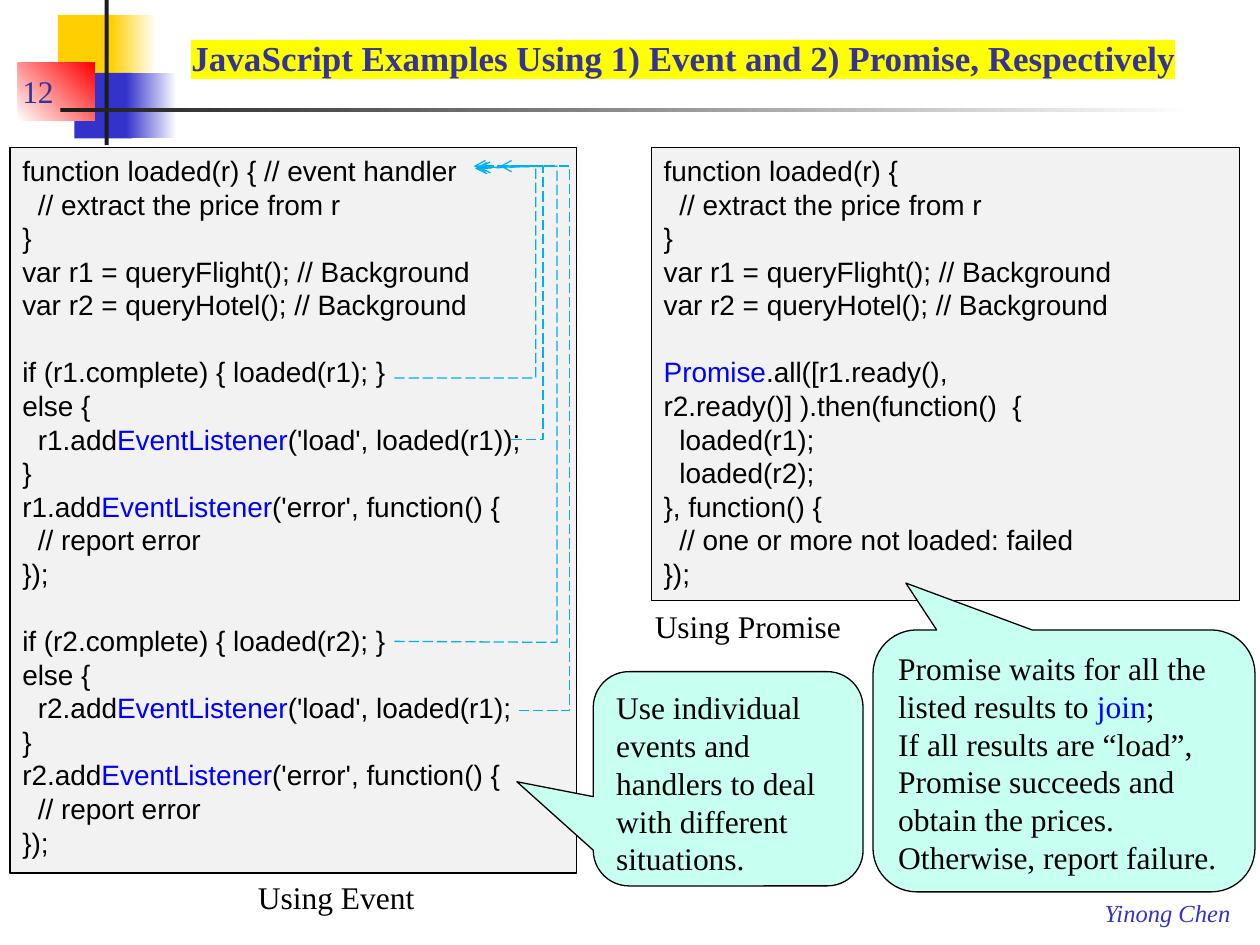
import pptx
import pptx.util
import pptx.dml.color
import pptx.enum.dml
import pptx.enum.shapes
import pptx.enum.text
import pptx.oxml
import pptx.oxml.ns
from lxml import etree

Cm = pptx.util.Cm
Pt = pptx.util.Pt
RGB = pptx.dml.color.RGBColor
KIND = pptx.enum.shapes.MSO_SHAPE
ANCHOR = pptx.enum.text.MSO_ANCHOR

BLACK = RGB(0x00, 0x00, 0x00)
WHITE = RGB(0xFF, 0xFF, 0xFF)
GOLD = RGB(0xFF, 0xCF, 0x01)
INDIGO = RGB(0x33, 0x33, 0xCC)
NAVY = RGB(0x33, 0x33, 0x99)
RED = RGB(0xFF, 0x00, 0x00)
DARK = RGB(0x1C, 0x1C, 0x1C)
GREY = RGB(0xF2, 0xF2, 0xF2)
MINT = RGB(0xC7, 0xFF, 0xF0)
BLUE = RGB(0x00, 0x00, 0xFF)
SKY = RGB(0x00, 0xB0, 0xF0)

# Code: "|" marks blue words, two leading blanks an indent, "" a gap
START = ["  // extract the price from r", "}",
         "var r1 = queryFlight(); // Background",
         "var r2 = queryHotel(); // Background"]


def listen(name, load):
    """Code lines that hook up the events of one request."""
    return ["", f"if ({name}.complete) {{ loaded({name}); }}", "else {",
            f"  {name}.add|EventListener|('load', {load}", "}",
            f"{name}.add|EventListener|('error', function() {{",
            "  // report error", "});"]


EVENT = (["function loaded(r) { // event handler"] + START
         + listen("r1", "loaded(r1));") + listen("r2", "loaded(r1);"))
PROMISE = ["function loaded(r) {"] + START + [
    "", "|Promise|.all([r1.ready(), r2.ready()] ).then(function()  {",
    "  loaded(r1);", "  loaded(r2);", "}, function() {",
    "  // one or more not loaded: failed", "});"]


class Deck:
    serif, sans = "Times New Roman", "Arial"
    body, code = 18, 16
    thin = Pt(0.75)

    def __init__(self):
        self.prs = pptx.Presentation()
        self.prs.slide_width, self.prs.slide_height = Cm(25.4), Cm(19.05)
        self.slide = self.prs.slides.add_slide(self.prs.slide_layouts[6])

    def shape(self, box, fill, kind=KIND.RECTANGLE, line=None):
        item = self.slide.shapes.add_shape(kind, *map(Cm, box))
        item.shadow.inherit = False
        item.fill.solid()
        item.fill.fore_color.rgb = fill
        if line is None:
            item.line.fill.background()
        else:
            item.line.color.rgb = line
            item.line.width = self.thin
        return item

    def fade(self, box, first, last, angle=0):
        item = self.shape(box, first)
        item.fill.gradient()
        item.fill.gradient_angle = angle
        for stop, color in zip(item.fill.gradient_stops, (first, last)):
            stop.color.rgb = color

    def set_text(self, item, lines, font, size, color=BLACK):
        frame = item.text_frame
        frame.word_wrap = True
        frame.vertical_anchor = ANCHOR.TOP
        pitch = Pt(1.2 * size)
        para, gap = None, False
        for line in lines:
            if not line:
                gap = True
                continue
            para = frame.add_paragraph() if para else frame.paragraphs[0]
            para.alignment = pptx.enum.text.PP_ALIGN.LEFT
            if len(lines) > 1 or item.height > Cm(2):
                para.line_spacing = pitch
            if gap:
                para.space_before = pitch
                gap = False
            if line.startswith("  "):
                # Two blanks are 0.56 em wide
                para._p.get_or_add_pPr().set("marL", str(Pt(0.56 * size)))
            for i, part in enumerate(line.strip().split("|")):
                if part:
                    run = para.add_run()
                    run.text = part
                    run.font.name, run.font.size = font, Pt(size)
                    run.font.color.rgb = BLUE if i % 2 else color

    def label(self, box, text, size=body, color=BLACK, anchor=ANCHOR.TOP):
        item = self.slide.shapes.add_textbox(*map(Cm, box))
        self.set_text(item, [text], self.serif, size, color)
        item.text_frame.vertical_anchor = anchor
        return item

    def panel(self, box, lines):
        self.set_text(self.shape(box, GREY, line=BLACK), lines,
                      self.sans, self.code)

    def callout(self, box, tip, lines):
        item = self.shape(box, MINT, KIND.ROUNDED_RECTANGULAR_CALLOUT, BLACK)
        for i, value in enumerate((*tip, 0.167)):
            item.adjustments[i] = value
        self.set_text(item, lines, self.serif, self.body)

    def trace(self, *points):
        spots = [(Cm(x), Cm(y)) for x, y in points]
        pen = self.slide.shapes.build_freeform(*spots[0])
        pen.add_line_segments(spots[1:], close=False)
        item = pen.convert_to_shape()
        item.shadow.inherit = False
        item.fill.background()
        item.line.color.rgb = SKY
        item.line.width = self.thin
        item.line.dash_style = pptx.enum.dml.MSO_LINE.LONG_DASH
        etree.SubElement(item.line._get_or_add_ln(),
                         pptx.oxml.ns.qn("a:tailEnd"), type="arrow")

    def mark(self, run, color):
        tag = pptx.oxml.parse_xml(
            f'<a:highlight {pptx.oxml.ns.nsdecls("a")}>'
            f'<a:srgbClr val="{color}"/></a:highlight>')
        run._r.rPr.find(pptx.oxml.ns.qn("a:solidFill")).addnext(tag)


def main():
    deck = Deck()

    # Corner blocks and rules
    deck.shape((1.17, 0.3, 1.22, 1.32), GOLD)
    deck.fade((2.24, 0.3, 0.91, 1.32), GOLD, WHITE)
    deck.shape((1.5, 1.47, 1.17, 1.32), INDIGO)
    deck.fade((2.54, 1.47, 1.02, 1.32), INDIGO, WHITE)
    deck.fade((0.36, 1.27, 1.55, 1.17), WHITE, RED, 45)
    deck.shape((2.11, 0, 0.08, 2.92), DARK)
    deck.fade((1.22, 2.18, 22.86, 0.08), DARK, WHITE)

    # Author, title and number
    name = deck.label((22.02, 17.98, 3.05, 0.86), "Yinong Chen", 14, INDIGO)
    name.text_frame.word_wrap = False
    name.text_frame.paragraphs[0].runs[0].font.italic = True
    title = deck.label(
        (3.61, 0.08, 21.72, 1.63),
        "JavaScript Examples Using 1) Event and 2) Promise, Respectively",
        20, NAVY, ANCHOR.BOTTOM)
    run = title.text_frame.paragraphs[0].runs[0]
    run.font.bold = True
    deck.mark(run, "FFFF00")
    deck.label((0.2, 1.07, 2.16, 1.27), "12", 18, NAVY, ANCHOR.BOTTOM)

    # Code panels
    deck.panel((0.2, 2.97, 11.43, 14.63), EVENT)
    deck.panel((13.13, 2.97, 11.86, 9.14), PROMISE)

    # Traces from the load listeners to the handler
    top = 3.35
    deck.trace((10.31, 8.86), (10.95, 8.86), (10.95, top), (9.55, top))
    deck.trace((10.46, 14.33), (11.48, 14.33), (11.48, top), (10.08, top))

    deck.callout((17.6, 12.7, 7.7, 5.28), (-0.414, -0.679), [
        "Promise waits for all the listed results to |join|;",
        "If all results are “load”, Promise succeeds and obtain the prices.",
        "Otherwise, report failure."])

    # Traces from the direct calls to the handler
    deck.trace((7.95, 7.62), (10.8, 7.62), (10.8, top), (9.58, 3.4))
    deck.trace((7.95, 12.93), (11.23, 12.95), (11.23, top), (9.65, 3.38))

    deck.callout((11.96, 13.54, 5.44, 4.32), (-0.783, 0.014), [
        "Use individual events and handlers to deal with different situations."])

    # Captions
    deck.label((4.95, 17.58, 4.04, 1.02), "Using Event")
    deck.label((12.95, 12.12, 5.44, 1.02), "Using Promise")

    deck.prs.save("out.pptx")


if __name__ == "__main__":
    main()
